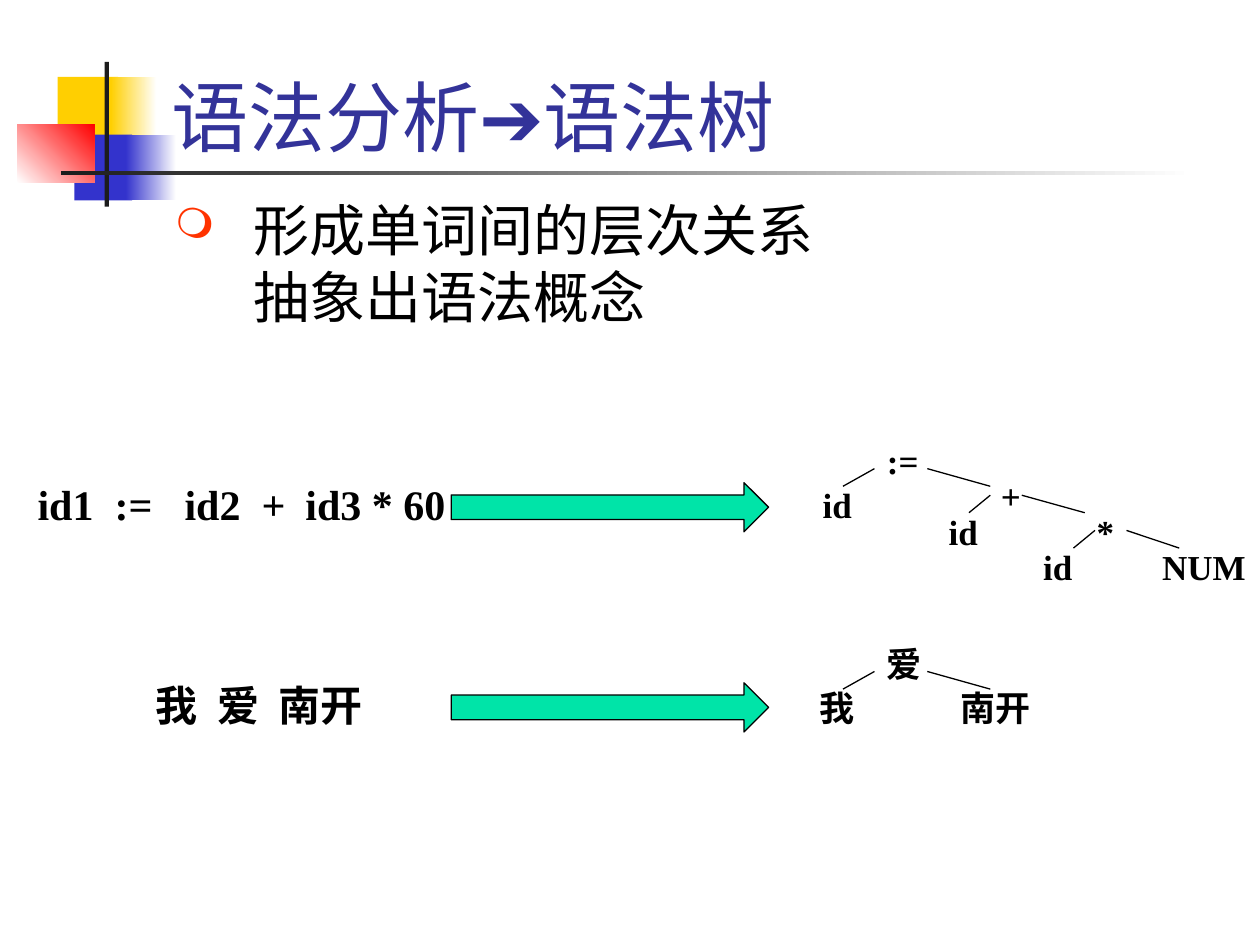
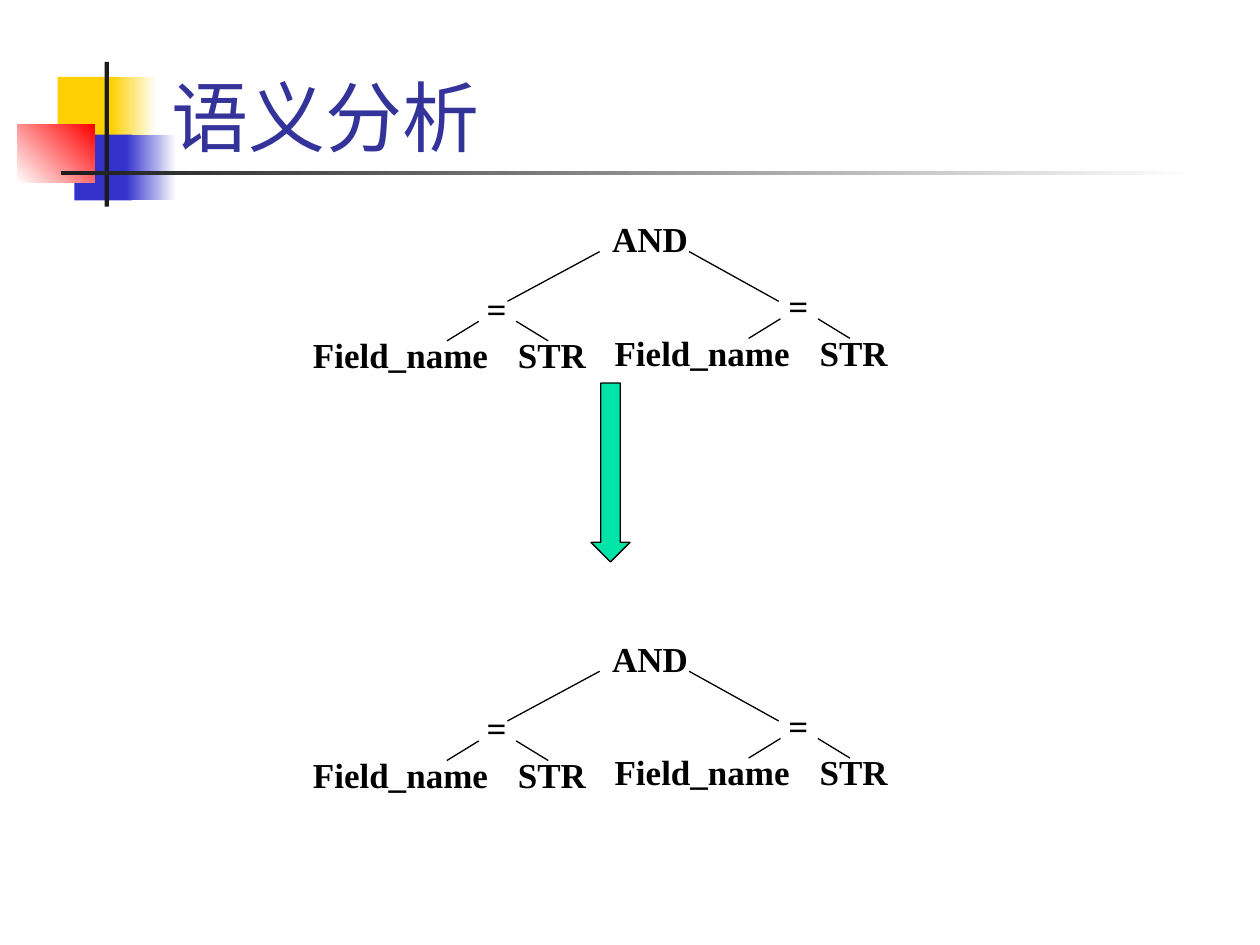
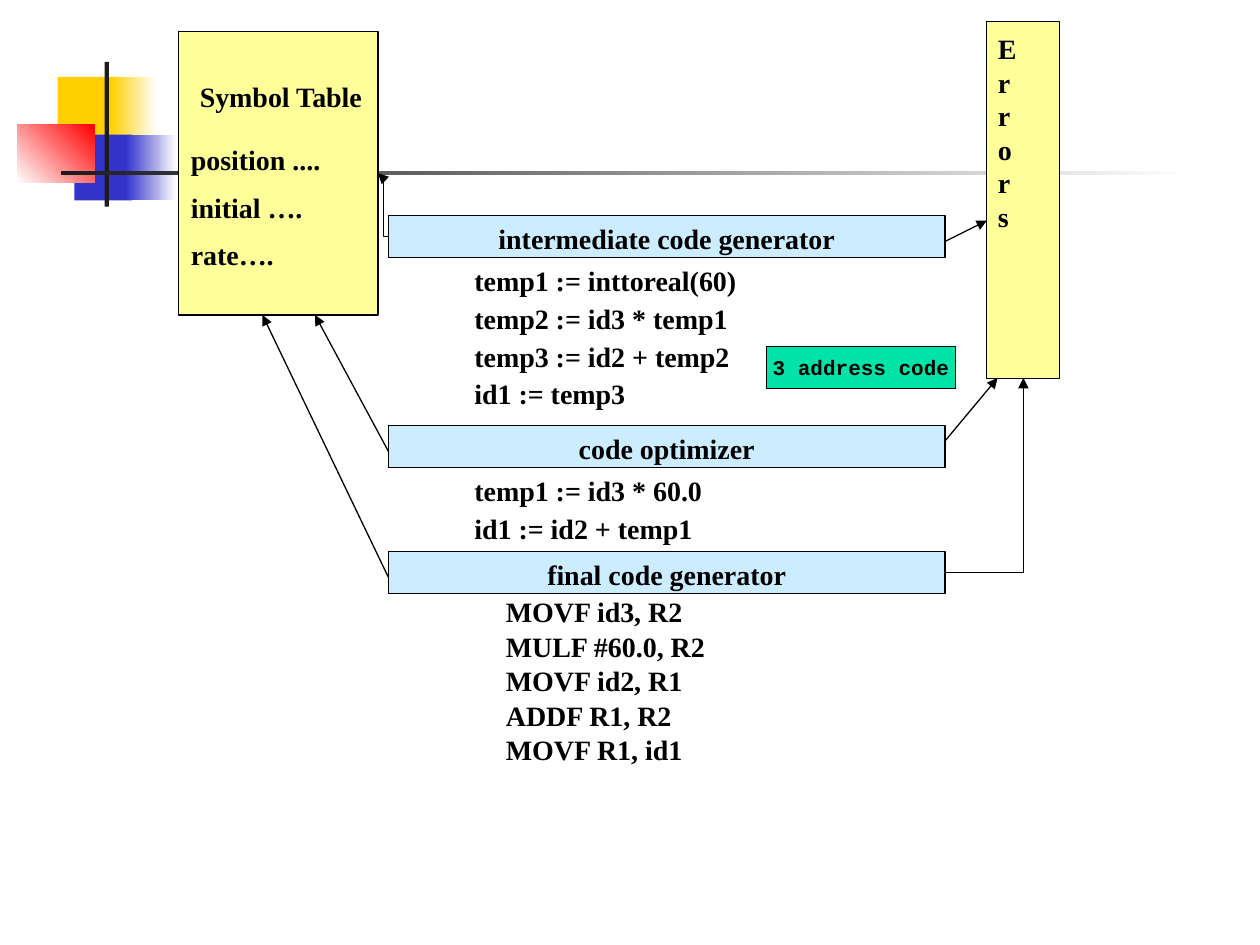
from lxml.etree import SubElement
from pptx import Presentation
from pptx.dml.color import RGBColor as Rgb
from pptx.enum.shapes import MSO_CONNECTOR as Link, MSO_SHAPE as Kind
from pptx.enum.text import MSO_ANCHOR as Anchor, PP_ALIGN as Align
from pptx.oxml.ns import qn
from pptx.util import Pt

THEME = {
    "ink": Rgb.from_string("000000"),
    "title": Rgb.from_string("333399"),
    "white": Rgb.from_string("FFFFFF"),
    "gold": Rgb.from_string("FFCF01"),
    "blue": Rgb.from_string("3333CC"),
    "red": Rgb.from_string("FF0000"),
    "rule": Rgb.from_string("1C1C1C"),
    "green": Rgb.from_string("00E4A8"),
    "yellow": Rgb.from_string("FFFF99"),
    "sky": Rgb.from_string("CCECFF"),
    "bullet": "FF3300",
    "heading": {"name": "Times New Roman", "size": Pt(44), "bold": False},
    "body": {"name": "Times New Roman", "size": Pt(32), "bold": False},
    "sentence": {"name": "Times New Roman", "size": Pt(24), "bold": True},
    "node": {"name": "Times New Roman", "size": Pt(20), "bold": True},
    "code": {"name": "Times New Roman", "size": Pt(16), "bold": True},
    "tag": {"name": "Courier New", "size": Pt(12), "bold": True},
    "outline": Pt(0.75),
}


def place(slide, box, lines=(), look="node", align=Align.CENTER, kind=None,
          fill=None, color="ink", spacing=None, **frame_format):
    area = [Pt(value) for value in box]
    if kind is None:
        shape = slide.shapes.add_textbox(*area)
    else:
        shape = slide.shapes.add_shape(kind, *area)
        shape.shadow.inherit = False
        shape.fill.solid()
        shape.fill.fore_color.rgb = THEME[fill]
        shape.line.color.rgb = THEME["ink"]
        shape.line.width = THEME["outline"]
    frame = shape.text_frame
    settings = {"word_wrap": True, "vertical_anchor": Anchor.TOP} | frame_format
    for attribute, value in settings.items():
        setattr(frame, attribute, value)
    for index, line in enumerate(lines):
        paragraph = frame.add_paragraph() if index else frame.paragraphs[0]
        paragraph.text = line
        paragraph.alignment = align
        if index:
            paragraph.space_before = Pt(8)
            paragraph.line_spacing = spacing
        for run in paragraph.runs:
            run.font.color.rgb = THEME[color]
            for attribute, value in THEME[look].items():
                setattr(run.font, attribute, value)
    return shape


def join(slide, start, end, route=Link.STRAIGHT, arrow=False):
    edge = slide.shapes.add_connector(route, *[Pt(value) for value in start + end])
    edge.line.color.rgb = THEME["ink"]
    edge.line.width = THEME["outline"]
    if arrow:
        SubElement(edge.line._get_or_add_ln(), qn("a:tailEnd"), type="triangle")
    SubElement(edge.element.spPr, qn("a:effectLst"))
    return edge


deck = Presentation()
deck.slide_width, deck.slide_height = Pt(720), Pt(540)
blank = deck.slide_layouts[6]
for placeholder in list(blank.placeholders):
    blank.shapes.element.remove(placeholder.element)
syntax, semantics, codegen = [deck.slides.add_slide(blank) for _ in range(3)]

ornaments = []
for box, first, last, angle in (
    ((33, 44, 34.5, 37.5), "gold", "gold", 0),
    ((63.4, 44, 26, 37.5), "gold", "white", 0),
    ((42.5, 77, 33, 37.5), "blue", "blue", 0),
    ((72, 77, 28.8, 37.5), "blue", "white", 0),
    ((10, 71.2, 44, 33.2), "white", "red", 45),
    ((59.8, 35.3, 2.5, 82.8), "rule", "rule", 0),
    ((34.6, 97.9, 648, 2.2), "rule", "white", 0),
):
    ornament = place(syntax, box, kind=Kind.RECTANGLE, fill=first)
    ornament.line.fill.background()
    if first != last:
        ornament.fill.gradient()
        ornament.fill.gradient_angle = angle
        for stop, tone in zip(ornament.fill.gradient_stops, (first, last)):
            stop.color.rgb = THEME[tone]
    ornaments.append(ornament.element)
for ornament in ornaments:
    blank.shapes.element.append(ornament)

for slide, heading in ((syntax, "语法分析➔语法树"), (semantics, "语义分析")):
    place(slide, (90.7, 5.8, 613.4, 90), [heading], "heading", Align.LEFT,
          color="title", vertical_anchor=Anchor.BOTTOM)

summary = place(syntax, (92.9, 108, 612, 372), ["形成单词间的层次关系\n抽象出语法概念"],
                "body", Align.LEFT)
indent = summary.text_frame.paragraphs[0]._p.get_or_add_pPr()
indent.set("marL", str(Pt(45)))
indent.set("indent", str(-Pt(45)))
SubElement(SubElement(indent, qn("a:buClr")), qn("a:srgbClr"), val=THEME["bullet"])
SubElement(indent, qn("a:buSzPct"), val="75000")
SubElement(indent, qn("a:buChar"), char="❍")

for sentence, box, stops, arrow_top in (
    ("id1\t:=\tid2\t+\tid3 * 60", (14.4, 270, 254, 36.7), (44, 84, 128, 153), 275.8),
    ("我\t爱\t南开", (82, 384.5, 164, 49.7), (35, 70), 390.2),
):
    words = place(syntax, box, [sentence], "sentence", Align.LEFT)
    tabs = SubElement(words.text_frame.paragraphs[0]._p.get_or_add_pPr(), qn("a:tabLst"))
    for stop in stops:
        SubElement(tabs, qn("a:tab"), pos=str(Pt(stop)), algn="l")
    place(syntax, (257.8, arrow_top, 181.4, 28.1), kind=Kind.RIGHT_ARROW, fill="green")

for root, top in ((":=", 247.7), ("爱", 363.6)):
    place(syntax, (499.7, top, 48, 31.7), [root], align=Align.LEFT)
    join(syntax, (499.7, top + 20.1), (481.7, top + 30.2))
    join(syntax, (529.9, top + 20.1), (565.9, top + 30.2))
for node, left, top, width in (
    ("id", 433.4, 272.9, 90), ("id", 505.4, 288, 90), ("id", 559.4, 308.2, 90),
    ("+", 553.7, 267.8, 48), ("*", 607.7, 288, 48), ("NUM", 655.9, 308.2, 64.1),
    ("我", 433.4, 388.8, 90), ("南开", 535.7, 388.8, 66.2),
):
    place(syntax, (left, top, width, 31.7), [node])
for start, end in (
    ((565.9, 283), (553.7, 293)), ((583.9, 283), (619.9, 293)),
    ((625.7, 303.1), (613.4, 313.2)), ((643.7, 303.1), (673.9, 313.2)),
):
    join(syntax, start, end)

place(semantics, (337.7, 218.9, 22.3, 102.2), kind=Kind.DOWN_ARROW, fill="green")
for top in (121, 360.8):
    place(semantics, (337.7, top, 67.7, 31.7), ["AND"])
    join(semantics, (342.7, top + 22.8), (290, top + 51.2))
    join(semantics, (393.8, top + 22.8), (445, top + 51.2))
    for left, branch in ((167, top + 39.6), (339.4, top + 38.2)):
        for node, shift, drop, width in (
            ("Field_name", 0, 26.6, 123.8), ("=", 92.7, 0, 48.2), ("STR", 117.8, 26.6, 61.2),
        ):
            place(semantics, (left + shift, branch + drop, width, 31.7), [node])
        for near, far in ((106.6, 88.4), (128, 146.3)):
            join(semantics, (left + near, branch + 23), (left + far, branch + 34.2))

place(codegen, (563.8, 12.2, 41.8, 204), kind=Kind.RECTANGLE, fill="yellow")
place(codegen, (570.2, 18, 14.4, 118.8), ["Errors"], "code", Align.LEFT,
      margin_left=0, margin_top=0)
for stage, top in (
    ("intermediate code generator", 123), ("code optimizer", 243), ("final code generator", 315),
):
    place(codegen, (222, top, 318, 24), [stage], "code", kind=Kind.RECTANGLE, fill="sky")
for listing, box, spacing in (
    (["temp1 := inttoreal(60)", "temp2 := id3 * temp1", "temp3 := id2 + temp2",
      "id1 := temp3"], (264, 147, 264, 96), 0.7),
    (["temp1 := id3 * 60.0", "id1 := id2 + temp1"], (264, 267, 264, 49.7), 0.7),
    (["MOVF id3, R2", "MULF #60.0, R2", "MOVF id2, R1", "ADDF R1, R2",
      "MOVF R1, id1"], (282, 336, 168, 111), 0.6),
):
    place(codegen, box, listing, "code", Align.LEFT, spacing=spacing)
place(codegen, (102, 18, 114, 162), kind=Kind.RECTANGLE, fill="yellow")
place(codegen, (102, 78, 114, 84), ["position ....", "initial ….", "rate…."],
      "code", Align.LEFT)
place(codegen, (105.8, 41.8, 109.4, 26.6), ["Symbol Table"], "code", word_wrap=False)

for start, end in (
    ((222, 258), (180, 180)), ((222, 330), (150, 180)),
    ((540, 252), (570, 216)), ((540, 138), (564, 126)),
):
    join(codegen, start, end, arrow=True)
join(codegen, (222, 135), (216, 99), Link.ELBOW, True)
corner = join(codegen, (540, 327), (584.8, 216), Link.ELBOW, True)
corner.element.spPr.find(qn("a:prstGeom")).set("prst", "bentConnector2")
address = place(codegen, (438, 198, 108, 24), ["3 address code"], "tag", kind=Kind.RECTANGLE,
                fill="green", word_wrap=False, vertical_anchor=Anchor.MIDDLE)
address.line.width = Pt(1)

deck.save("out.pptx")
